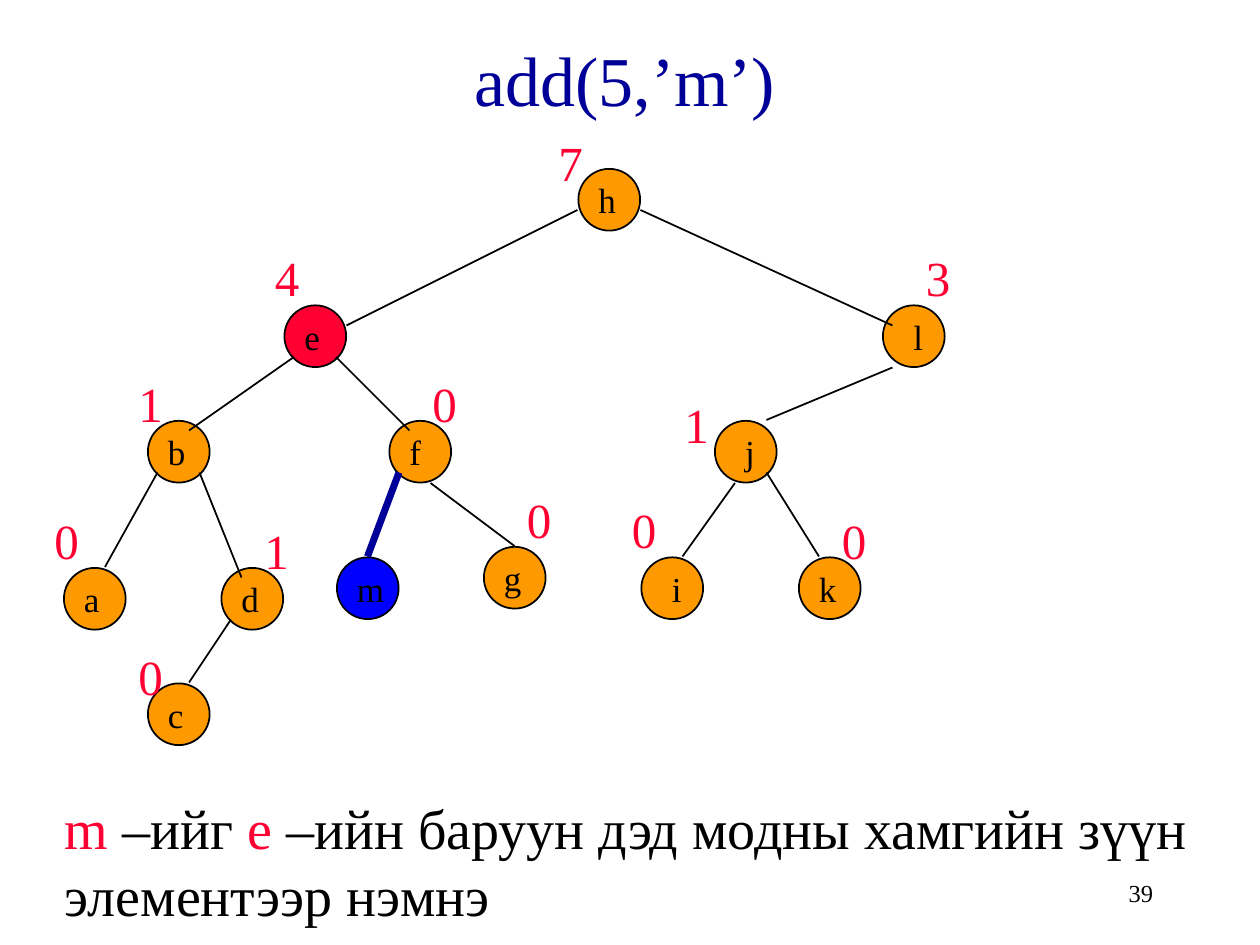
from lxml.etree import SubElement
from pptx import Presentation
from pptx.dml.color import RGBColor
from pptx.enum.shapes import MSO_CONNECTOR, MSO_SHAPE
from pptx.enum.text import MSO_ANCHOR, PP_ALIGN
from pptx.oxml.ns import qn
from pptx.util import Pt

FONT = "Times New Roman"
COLORS = {
    "title": "000099",
    "ink": "000000",
    "node": "FF9900",
    "parent": "FF0033",
    "added": "0000FF",
    "count": "FF0033",
    "new_edge": "000099",
}

CELL = 36
NARROW_LETTERS = "ijl"

# letter: (node left, node top, subtree count, count left, count top), within the tree
NODES = {
    "h": (306, 24, "7", 288, 0),
    "e": (138, 102, "4", 126, 66),
    "l": (480, 102, "3", 498, 66),
    "b": (60, 168, "1", 48, 138),
    "f": (198, 168, "0", 216, 138),
    "j": (384, 168, "1", 360, 150),
    "a": (12, 252, "0", 0, 216),
    "d": (102, 252, "1", 120, 222),
    "i": (342, 246, "0", 330, 210),
    "k": (432, 246, "0", 450, 216),
    "c": (60, 318, "0", 48, 294),
    "g": (252, 240, "0", 270, 204),
    "m": (168, 246, None, 0, 0),
}
NODE_FILLS = {"e": "parent", "m": "added"}

# parent, child, start within the parent's cell, end within the child's cell
EDGES = [
    ("h", "e", (0, 24), (36, 12)),
    ("h", "l", (36, 24), (6, 12)),
    ("e", "b", (6, 30), (24, 6)),
    ("e", "f", (30, 30), (12, 6)),
    ("l", "j", (6, 36), (30, 0)),
    ("b", "a", (6, 30), (24, 0)),
    ("b", "d", (30, 30), (12, 6)),
    ("j", "i", (12, 36), (24, 0)),
    ("j", "k", (30, 30), (12, 0)),
    ("d", "c", (6, 30), (24, 0)),
    ("f", "g", (24, 36), (18, 0)),
    ("f", "m", (6, 30), (18, 0)),
]


def rgb(name):
    return RGBColor.from_string(COLORS[name])


def format_run(run, size, color):
    run.font.name = FONT
    run.font.size = Pt(size)
    run.font.color.rgb = rgb(color)


def add_text(slide, box, text, size, color="ink", wrap=False):
    label = slide.shapes.add_textbox(*map(Pt, box))
    frame = label.text_frame
    frame.word_wrap = wrap
    frame.text = text
    format_run(frame.paragraphs[0].runs[0], size, color)
    return frame


def add_node(slide, left, top, fill):
    node = slide.shapes.add_shape(
        MSO_SHAPE.OVAL, Pt(left + 0.5), Pt(top + 0.5), Pt(35.3), Pt(35.3))
    node.shadow.inherit = False
    node.fill.solid()
    node.fill.fore_color.rgb = rgb(fill)
    node.line.color.rgb = rgb("ink")
    node.line.width = Pt(1)


def add_edge(slide, start, end, color, width):
    edge = slide.shapes.add_connector(
        MSO_CONNECTOR.STRAIGHT, *map(Pt, (*start, *end)))
    edge.line.color.rgb = rgb(color)
    edge.line.width = Pt(width)
    SubElement(edge._element.spPr, qn("a:effectLst"))


def add_title(slide, box, text):
    title = slide.shapes.title
    title.left, title.top, title.width, title.height = map(Pt, box)
    frame = title.text_frame
    frame.text = text
    frame.vertical_anchor = MSO_ANCHOR.MIDDLE
    frame.paragraphs[0].alignment = PP_ALIGN.CENTER
    format_run(frame.paragraphs[0].runs[0], 40, "title")


def add_tree(slide, left, top):
    """Draw circles, then edges, then letters and subtree counts above them."""
    cells = {letter: (left + x, top + y) for letter, (x, y, *_) in NODES.items()}
    for letter, (x, y) in cells.items():
        add_node(slide, x, y, NODE_FILLS.get(letter, "node"))

    for parent, child, start, end in EDGES:
        color, width = ("new_edge", 4) if child == "m" else ("ink", 1)
        (px, py), (cx, cy) = cells[parent], cells[child]
        add_edge(slide, (px + start[0], py + start[1]),
                 (cx + end[0], cy + end[1]), color, width)

    for letter, (_, _, count, count_x, count_y) in NODES.items():
        x, y = cells[letter]
        indent = 10.8 if letter in NARROW_LETTERS else 4.8
        add_text(slide, (x + indent, y + 2.6, CELL - 2 * indent, 31), letter, 20)
        if count is not None:
            add_text(slide, (left + count_x, top + count_y, 18, 41),
                     count, 28, "count", wrap=True)


def add_explanation(slide, box):
    frame = add_text(slide, box, "m ", 32, "count", wrap=True)
    for text, color in [
        ("–ийг ", "ink"),
        ("e", "count"),
        (" –ийн баруун дэд модны хамгийн зүүн элементээр нэмнэ", "ink"),
    ]:
        run = frame.paragraphs[0].add_run()
        run.text = text
        format_run(run, 32, color)


def add_page_number(slide, box, number):
    frame = add_text(slide, box, number, 14, wrap=True)
    frame.vertical_anchor = MSO_ANCHOR.MIDDLE
    frame.paragraphs[0].alignment = PP_ALIGN.RIGHT


def main():
    deck = Presentation()
    deck.slide_width, deck.slide_height = Pt(720), Pt(540)
    slide = deck.slides.add_slide(deck.slide_layouts[5])
    add_title(slide, (6, 0, 702, 90), "add(5,’m’)")
    add_tree(slide, 24, 72)
    add_explanation(slide, (30, 450, 666, 84))
    add_page_number(slide, (516, 492, 150, 36), "39")
    deck.save("out.pptx")


if __name__ == "__main__":
    main()
